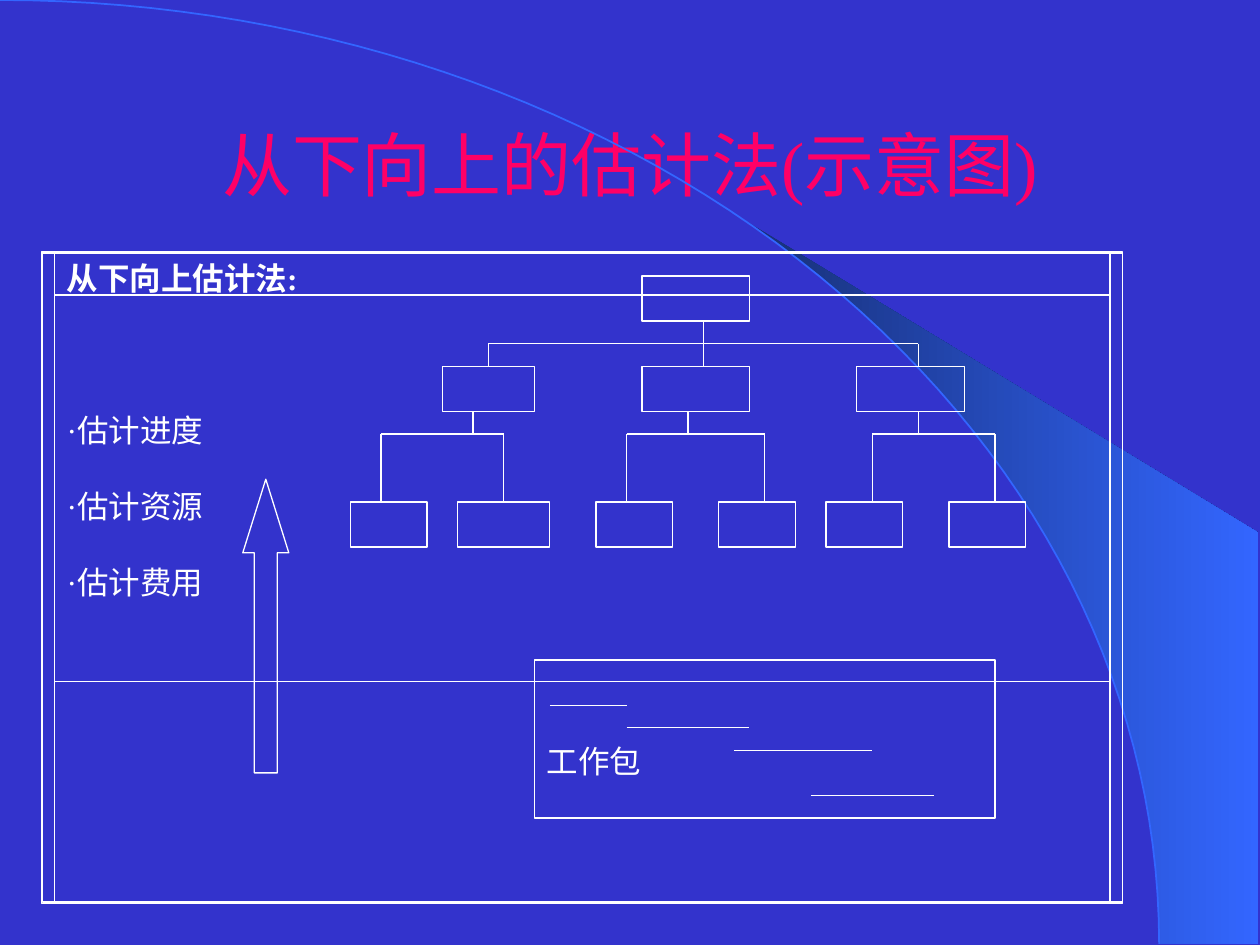
import math
import lxml.etree
import pptx
import pptx.util
import pptx.dml.color
import pptx.enum.shapes
import pptx.enum.text

Inches, Pt = pptx.util.Inches, pptx.util.Pt
SHAPE = pptx.enum.shapes.MSO_SHAPE
ALIGN = pptx.enum.text.PP_ALIGN
ANCHOR = pptx.enum.text.MSO_ANCHOR
WIDTH, HEIGHT = 10, 7.5
WHITE, SKY = "FFFFFF", "3366FF"
TREE = [
    ((6, 12), 9, 8, [((0, 5), 2), ((7, 13), 10)]),
    ((19, 26), 23, 22, [((16, 21), 18), ((24, 29), 27)]),
    ((33, 40), 37, 37, [((31, 36), 34), ((39, 44), 42)]),
]
BARS = [(13, 18, 19), (18, 26, 20), (25, 34, 21), (30, 38, 23)]


def color(value):
    """Turn a hex string into a colour."""
    return pptx.dml.color.RGBColor.from_string(value)


def cell(box, col, row):
    """Return the point of a grid box (left, top, column, row) in inches."""
    left, top, width, height = box
    return left + col * width, top + row * height


def put_text(tf, lines, size=18, fill=WHITE, align=ALIGN.LEFT, anchor=ANCHOR.TOP, top=0.05):
    """Write (text, bold, space before) lines into a text frame."""
    tf.word_wrap = True
    tf.auto_size = pptx.enum.text.MSO_AUTO_SIZE.NONE
    tf.vertical_anchor = anchor
    tf.margin_left = tf.margin_right = Inches(0.1)
    tf.margin_top, tf.margin_bottom = Inches(top), Inches(0.05)
    for i, (text, bold, before) in enumerate(lines):
        p = tf.add_paragraph() if i else tf.paragraphs[0]
        p.alignment, p.space_before = align, Pt(before)
        r = p.add_run()
        r.text = text
        r.font.name, r.font.size, r.font.bold = "Times New Roman", Pt(size), bold
        r.font.color.rgb = color(fill)


def outline(s, left, top, width, height, kind=SHAPE.RECTANGLE, weight=0.75):
    """Add an unfilled white-lined shape."""
    sp = s.shapes.add_shape(kind, *map(Inches, (left, top, width, height)))
    sp.shadow.inherit = False
    sp.fill.background()
    sp.line.color.rgb, sp.line.width = color(WHITE), Pt(weight)
    return sp


def grid_shape(s, box, cols, rows, kind=SHAPE.RECTANGLE):
    """Add an outlined shape spanning grid columns and rows."""
    left, top = cell(box, cols[0], rows[0])
    right, bottom = cell(box, cols[1], rows[1])
    return outline(s, left, top, right - left, bottom - top, kind)


def wire(s, box, start, end):
    """Add a straight line between two grid points."""
    ends = map(Inches, cell(box, *start) + cell(box, *end))
    sp = s.shapes.add_connector(pptx.enum.shapes.MSO_CONNECTOR.STRAIGHT, *ends)
    sp.line.color.rgb, sp.line.width = color(WHITE), Pt(0.75)
    lxml.etree.SubElement(sp._element.spPr, pptx.oxml.ns.qn("a:effectLst"))
    return sp


def drop(s, box, col, row, cols, rows):
    """Add a node and the line falling onto its top."""
    node = grid_shape(s, box, cols, rows)
    line = wire(s, box, (col, row), (col, rows[0]))
    if 2 * col == sum(cols):
        line.end_connect(node, 0)


def backdrop(s, width, height):
    """Draw the blue ground, the shaded wedge and the sweeping arc."""
    s.background.fill.solid()
    s.background.fill.fore_color.rgb = color("3333CC")
    rx, ry, edge = 0.92 * width, height - 0.01, width - 0.01

    def curve(first):
        """Return ellipse points from an angle in degrees down to 90."""
        steps = [math.radians(first + (90 - first) * i / 60) for i in range(61)]
        return [(Inches(rx * math.sin(t)), Inches(ry * (1 - math.cos(t)))) for t in steps]

    edge_points = curve(math.degrees(math.asin(0.589 * width / rx)))
    corners = [(Inches(edge), Inches(ry)), (Inches(edge), Inches(0.564 * height))]
    for points, closed in ((edge_points + corners, True), (curve(0), False)):
        builder = s.shapes.build_freeform(*points[0])
        builder.add_line_segments(points[1:], close=closed)
        sp = builder.convert_to_shape()
        sp.shadow.inherit = False
        if closed:
            sp.line.fill.background()
            sp.fill.gradient()
            sp.fill.gradient_angle = 0
            for stop, tone in zip(sp.fill.gradient_stops, ("172F75", SKY)):
                stop.color.rgb = color(tone)
        else:
            sp.fill.background()
            sp.line.color.rgb, sp.line.width = color(SKY), Pt(1)


def title(s, left, top, width, height):
    """Place the slide title."""
    sp = s.shapes.title
    sp.left, sp.top, sp.width, sp.height = map(Inches, (left, top, width, height))
    put_text(sp.text_frame, [("从下向上的估计法(示意图)", False, 0)], size=40,
             fill="FF0066", align=ALIGN.CENTER, anchor=ANCHOR.MIDDLE)


def breakdown(s, box):
    """Draw the three-level tree of empty nodes."""
    grid_shape(s, box, (19, 26), (0, 2))
    wire(s, box, (23, 2), (23, 3))
    wire(s, box, (TREE[0][1], 3), (TREE[-1][1], 3))
    for cols, col, stem, leaves in TREE:
        drop(s, box, col, 3, cols, (4, 6))
        wire(s, box, (stem, 6), (stem, 7))
        wire(s, box, (leaves[0][1], 7), (leaves[1][1], 7))
        for leaf_cols, leaf_col in leaves:
            drop(s, box, leaf_col, 7, leaf_cols, (10, 12))


def work_package(s, box):
    """Draw the work package box with its schedule bars and the upward arrow."""
    sp = grid_shape(s, box, (12, 42), (17, 24))
    put_text(sp.text_frame, [("工作包", False, 0)], align=ALIGN.JUSTIFY, top=0.65)
    for start, end, row in BARS:
        wire(s, box, (start, row), (end, row))
    arrow = grid_shape(s, box, (-7, -4), (9, 22), SHAPE.UP_ARROW)
    arrow.adjustments[0], arrow.adjustments[1] = 0.5, 1.6


def frame(s, left, top, width, height):
    """Draw the nested frames and the list of estimates."""
    outline(s, left, top, width, height)
    outline(s, left + 0.01, top + 0.01, width - 0.01, height - 0.02, weight=0)
    outline(s, left + 0.1, top + 0.34, width - 0.2, height - 0.35)
    sp = outline(s, left + 0.1, top + 0.01, width - 0.2, 3.4)
    put_text(sp.text_frame, [("从下向上估计法:", True, 0), ("·估计进度", False, 65),
                             ("·估计资源", False, 21.7), ("·估计费用", False, 21.7)])


def main():
    """Build and save the slide."""
    prs = pptx.Presentation()
    prs.slide_width, prs.slide_height = Inches(WIDTH), Inches(HEIGHT)
    s = prs.slides.add_slide(prs.slide_layouts[5])
    backdrop(s, WIDTH, HEIGHT)
    title(s, 0.75, 0.67, 8.5, 1.25)
    grid = (2.78, 2.19, 0.12183, 0.1793)
    work_package(s, grid)
    breakdown(s, grid)
    frame(s, 0.33, 2, 8.58, 5.17)
    prs.save("out.pptx")


if __name__ == "__main__":
    main()
